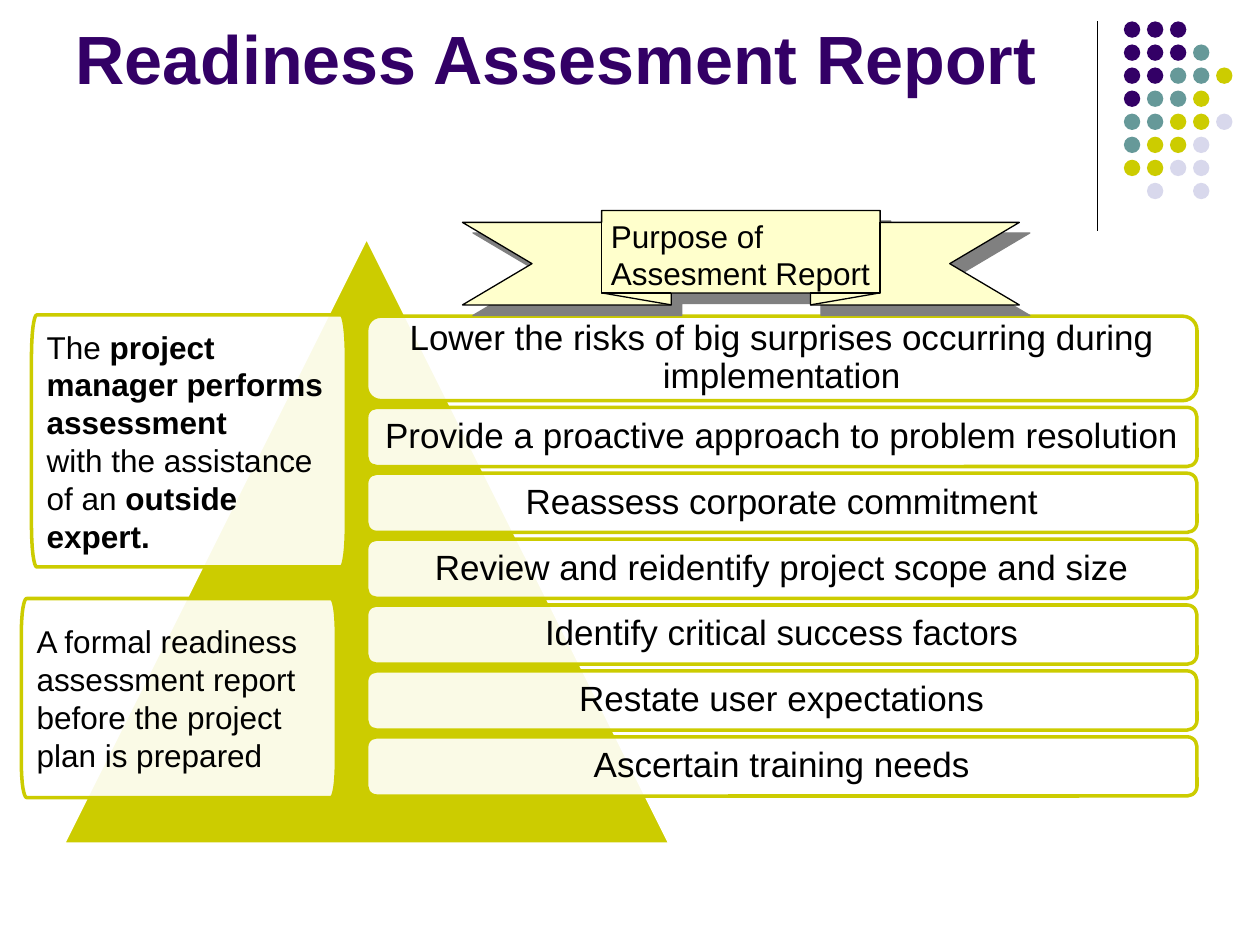
from math import cos, pi, sin
from lxml.etree import SubElement
from pptx import Presentation
from pptx.dml.color import RGBColor
from pptx.enum.shapes import MSO_CONNECTOR, MSO_SHAPE
from pptx.enum.text import MSO_ANCHOR, PP_ALIGN
from pptx.oxml.ns import qn
from pptx.util import Inches, Pt

PURPLE = RGBColor(0x33, 0x00, 0x66)
TEAL = RGBColor(0x66, 0x99, 0x99)
OLIVE = RGBColor(0xCC, 0xCC, 0x00)
LILAC = RGBColor(0xD8, 0xD8, 0xEC)
CREAM = RGBColor(0xFF, 0xFF, 0xCC)
WHITE = RGBColor(0xFF, 0xFF, 0xFF)
BLACK = RGBColor(0, 0, 0)
GREY = RGBColor(0x80, 0x80, 0x80)

TITLE = "Readiness Assesment Report"
BANNER = "Purpose of Assesment Report"
PURPOSES = [
    "Lower the risks of big surprises occurring during implementation",
    "Provide a proactive approach to problem resolution",
    "Reassess corporate commitment",
    "Review and reidentify project scope and size",
    "Identify critical success factors",
    "Restate user expectations",
    "Ascertain training needs",
]
NOTES = [
    ((0.25, 2.5, 2.5, 2.0),
     [[("The ", False), ("project manager performs assessment", True)],
      [("with the assistance of an ", False), ("outside expert.", True)]]),
    ((0.17, 4.75, 2.5, 1.58),
     [[("A formal readiness assessment report before the project", False)],
      [("plan is prepared", False)]]),
]
DOTS = ["PPP", "PPPT", "PPTTO", "PTTO", "TTOOL", "TOOL", "OOLL", " L L"]
DOT_COLORS = {"P": PURPLE, "T": TEAL, "O": OLIVE, "L": LILAC}
DOT_LEFT, DOT_TOP, DOT_SIZE, DOT_PITCH = 8.92, 0.17, 0.13, 0.183

ROW_LEFT, ROW_TOP, ROW_W, ROW_H, FIRST_H, ROW_GAP = 2.91, 2.51, 6.59, 0.47, 0.67, 0.053
RIBBON_LEFT, RIBBON_TOP, RIBBON_W, RIBBON_H, FOLD_H = 3.67, 1.67, 4.42, 0.75, 0.095


def write(shape, paras, size=18, color=BLACK, align=PP_ALIGN.LEFT,
          anchor=MSO_ANCHOR.MIDDLE, inset=(0.12, 0.12), spacing=None, after=0):
    tf = shape.text_frame
    tf.word_wrap = True
    tf.vertical_anchor = anchor
    tf.margin_left = tf.margin_right = Inches(inset[0])
    tf.margin_top = tf.margin_bottom = Inches(inset[1])
    for i, runs in enumerate(paras):
        p = tf.add_paragraph() if i else tf.paragraphs[0]
        p.alignment = align
        p.space_after = Pt(after)
        if spacing:
            p.line_spacing = spacing
        for text, bold in runs:
            r = p.add_run()
            r.text = text
            r.font.name, r.font.size, r.font.bold = "Arial", Pt(size), bold
            r.font.color.rgb = color


def style(shape, fill=None, line=None, width=2, alpha=None):
    shape.shadow.inherit = False
    if fill is None:
        shape.fill.background()
    else:
        shape.fill.solid()
        shape.fill.fore_color.rgb = fill
    if alpha:
        clr = shape._element.spPr.find(qn("a:solidFill"))[0]
        SubElement(clr, qn("a:alpha"), val=str(alpha * 1000))
    if line is None:
        shape.line.fill.background()
    else:
        shape.line.color.rgb = line
        shape.line.width = Pt(width)
    return shape


def add_preset(s, kind, x, y, w, h, **fmt):
    box = [Inches(v) for v in (x, y, w, h)]
    return style(s.shapes.add_shape(kind, *box), **fmt)


def add_outline(s, contours, close, **fmt):
    first, *rest = [[(Inches(x), Inches(y)) for x, y in c] for c in contours]
    fb = s.shapes.build_freeform(*first[0])
    fb.add_line_segments(first[1:], close=close)
    for points in rest:
        fb.move_to(*points[0])
        fb.add_line_segments(points[1:], close=close)
    return style(fb.convert_to_shape(), **fmt)


def stretched_corners(x, y, w, h, steps=8):
    rx, ry = w / 60, h / 6
    centers = [(x + w - rx, y + h - ry), (x + rx, y + h - ry),
               (x + rx, y + ry), (x + w - rx, y + ry)]
    return [(cx + rx * cos(a), cy + ry * sin(a))
            for q, (cx, cy) in enumerate(centers)
            for a in [(q + k / steps) * pi / 2 for k in range(steps + 1)]]


def add_ribbon(s):
    def at(col, y):
        return RIBBON_LEFT + RIBBON_W * col / 8, y

    top, low = RIBBON_TOP, RIBBON_TOP + RIBBON_H
    tail, fold, mid = top + FOLD_H, low - FOLD_H, top + (RIBBON_H + FOLD_H) / 2
    half = [(2, top), (2, tail), (0, tail), (1, mid), (0, low), (3, low), (3, fold)]
    outline = [at(c, y) for c, y in half] + [at(8 - c, y) for c, y in reversed(half)]
    ribbon = add_outline(s, [outline], True, fill=CREAM, line=BLACK, width=0.75)
    effects = ribbon._element.spPr.find(qn("a:effectLst"))
    shadow = SubElement(effects, qn("a:outerShdw"), dist=str(Pt(8.5)),
                        dir="2700000", algn="ctr", rotWithShape="0")
    SubElement(shadow, qn("a:srgbClr"), val=str(GREY))
    folds = []
    for inner, outer in ((3, 2), (5, 6)):
        folds.append([at(inner, fold), at(outer, fold), at(outer, tail)])
        folds.append([at(outer, fold), at(inner, low)])
    add_outline(s, folds, False, line=BLACK, width=0.75)


def main():
    prs = Presentation()
    prs.slide_width, prs.slide_height = Inches(10), Inches(7.5)
    s = prs.slides.add_slide(prs.slide_layouts[5])

    title = s.shapes.title
    title.left, title.top, title.width, title.height = [
        Inches(v) for v in (0.5, 0.13, 8.25, 0.7)]
    write(title, [[(TITLE, True)]], size=39, color=PURPLE,
          anchor=MSO_ANCHOR.BOTTOM, inset=(0.1, 0.05))

    rule = s.shapes.add_connector(MSO_CONNECTOR.STRAIGHT, Inches(8.71), Inches(0.17),
                                  Inches(8.71), Inches(1.83))
    rule.line.color.rgb = BLACK
    rule.line.width = Pt(0.75)
    SubElement(rule._element.spPr, qn("a:effectLst"))

    for row, codes in enumerate(DOTS):
        for col, code in enumerate(codes):
            if code in DOT_COLORS:
                add_preset(s, MSO_SHAPE.OVAL, DOT_LEFT + col * DOT_PITCH,
                           DOT_TOP + row * DOT_PITCH, DOT_SIZE, DOT_SIZE,
                           fill=DOT_COLORS[code])

    add_preset(s, MSO_SHAPE.ISOSCELES_TRIANGLE, 0.5, 1.88, 4.82, 4.82,
               fill=OLIVE, line=WHITE)

    panel = dict(fill=WHITE, line=OLIVE, alpha=90)
    y = ROW_TOP
    for i, purpose in enumerate(PURPOSES):
        h = ROW_H if i else FIRST_H
        row = add_preset(s, MSO_SHAPE.ROUNDED_RECTANGLE, ROW_LEFT, y, ROW_W, h, **panel)
        write(row, [[(purpose, False)]], size=20, align=PP_ALIGN.CENTER,
              inset=(0.09, 0.09), spacing=0.9, after=8.8)
        y += h + ROW_GAP

    for box, paras in NOTES:
        note = add_outline(s, [stretched_corners(*box)], True, **panel)
        write(note, paras)

    add_ribbon(s)
    label = s.shapes.add_textbox(Inches(4.75), Inches(1.67), Inches(2.67), Inches(0.7))
    write(label, [[(BANNER, False)]], anchor=MSO_ANCHOR.TOP, inset=(0.1, 0.05))

    prs.save("out.pptx")


if __name__ == "__main__":
    main()
